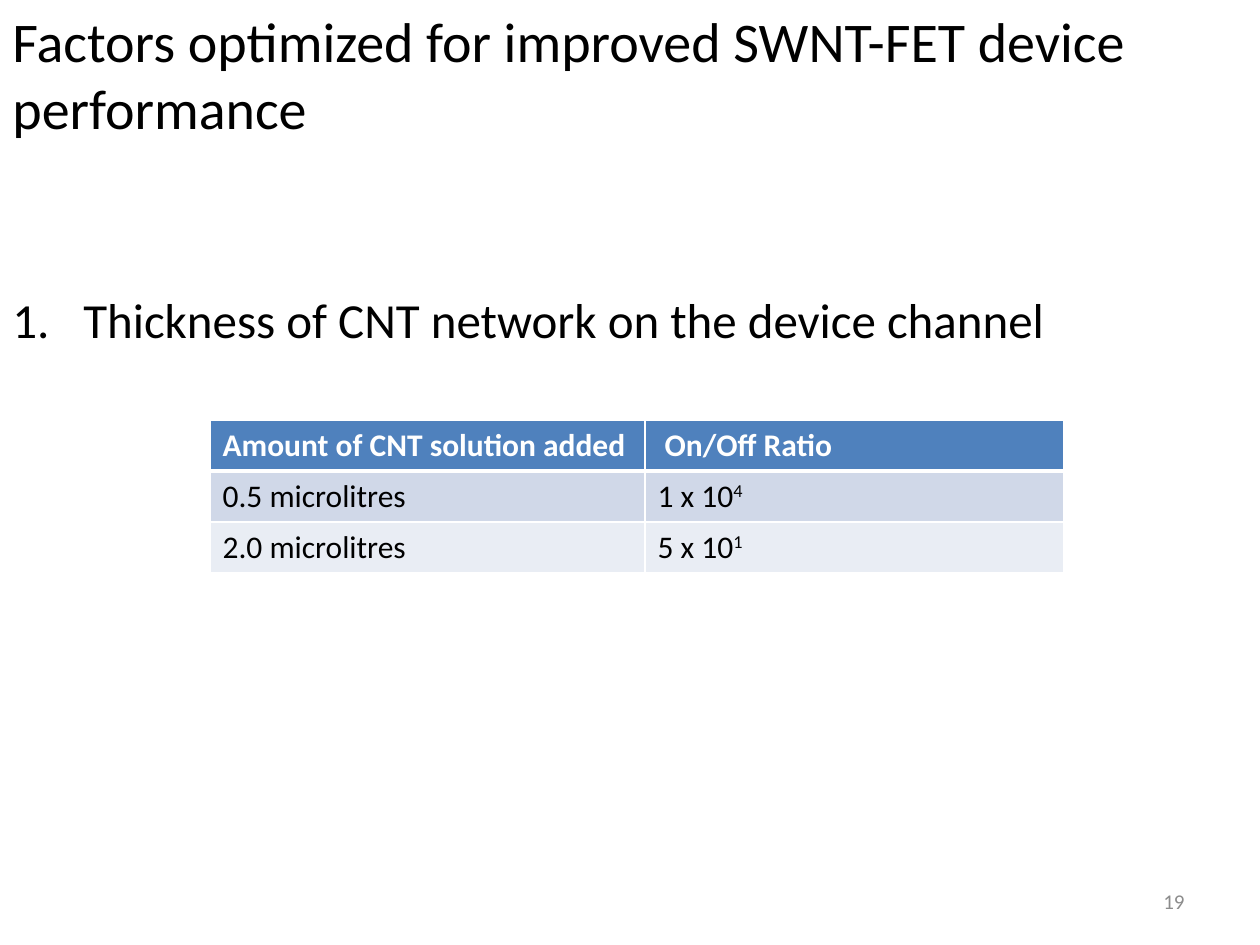
"""Build the slide on factors that improve SWNT-FET device performance."""
from lxml.etree import SubElement
from pptx import Presentation
from pptx.dml.color import RGBColor
from pptx.enum.text import MSO_ANCHOR, PP_ALIGN
from pptx.oxml.ns import qn
from pptx.util import Emu, Pt

FONT = "Calibri"
COLORS = {
    "text": "000000",
    "number": "8C8C8C",
    "white": "FFFFFF",
    "header": "4F81BD",
    "odd": "D0D8E8",
    "even": "E9EDF4",
}
ROWS = [
    [("Amount of CNT solution added", ""), (" On/Off Ratio", "")],
    [("0.5 microlitres", ""), ("1 x 10", "4")],
    [("2.0 microlitres", ""), ("5 x 10", "1")],
]
ROW_FILLS = ["header", "odd", "even"]
COLUMN_WIDTHS = [435, 419]
ROW_HEIGHT = 51


def px(length):
    return Emu(round(length * 914400 / 126))


def rgb(name):
    return RGBColor.from_string(COLORS[name])


def format_runs(paragraph, size, color="text", bold=False):
    for span in paragraph.runs:
        span.font.name = FONT
        span.font.size = Pt(size)
        span.font.bold = bold
        span.font.color.rgb = rgb(color)


def number_paragraph(paragraph, indent):
    properties = paragraph._p.get_or_add_pPr()
    properties.set("marL", str(px(indent)))
    properties.set("indent", str(-px(indent)))
    SubElement(properties, qn("a:buFont"), typeface="+mj-lt")
    SubElement(properties, qn("a:buAutoNum"), type="arabicPeriod")


def add_text(page, left, top, width, height, lines):
    box = page.shapes.add_textbox(px(left), px(top), px(width), px(height))
    frame = box.text_frame
    frame.word_wrap = True
    frame.text = "\n".join(text for text, size, color in lines)
    for paragraph, (text, size, color) in zip(frame.paragraphs, lines):
        format_runs(paragraph, size, color)
    return frame


def add_borders(cell, top, bottom):
    properties = cell._tc.get_or_add_tcPr()
    widths = {"a:lnL": 1, "a:lnR": 1, "a:lnT": top, "a:lnB": bottom}
    for tag, width in widths.items():
        line = SubElement(properties, qn(tag), w=str(Pt(width)))
        fill = SubElement(line, qn("a:solidFill"))
        SubElement(fill, qn("a:srgbClr"), val=COLORS["white"])


def fill_cell(cell, row, text, exponent):
    is_header = row == 0
    paragraph = cell.text_frame.paragraphs[0]
    paragraph.text = text
    if exponent:
        span = paragraph.add_run()
        span.text = exponent
        span._r.get_or_add_rPr().set("baseline", "30000")
    format_runs(paragraph, 18, "white" if is_header else "text", is_header)
    add_borders(cell, 3 if row == 1 else 1, 3 if is_header else 1)
    cell.fill.solid()
    cell.fill.fore_color.rgb = rgb(ROW_FILLS[row])


def add_ratio_table(page, left, top):
    size = px(sum(COLUMN_WIDTHS)), px(ROW_HEIGHT * len(ROWS))
    frame = page.shapes.add_table(len(ROWS), len(COLUMN_WIDTHS), px(left), px(top), *size)
    table = frame.table
    for column, width in zip(table.columns, COLUMN_WIDTHS):
        column.width = px(width)
    for row, values in enumerate(ROWS):
        table.rows[row].height = px(ROW_HEIGHT)
        for column, (text, exponent) in enumerate(values):
            fill_cell(table.cell(row, column), row, text, exponent)


def main():
    deck = Presentation()
    deck.slide_width, deck.slide_height = px(1260), px(945)
    page = deck.slides.add_slide(deck.slide_layouts[6])

    body = add_text(page, 0, 0, 1260, 945, [
        ("Factors optimized for improved SWNT-FET device performance", 32, "text"),
        ("Thickness of CNT network on the device channel", 28, "text"),
    ])
    factor = body.paragraphs[1]
    factor.space_before = Pt(85)
    number_paragraph(factor, 71)

    footer = add_text(page, 903, 876, 294, 50, [("19", 12, "number")])
    footer.vertical_anchor = MSO_ANCHOR.MIDDLE
    footer.paragraphs[0].alignment = PP_ALIGN.RIGHT

    add_ratio_table(page, 210, 420)
    deck.save("out.pptx")


if __name__ == "__main__":
    main()
